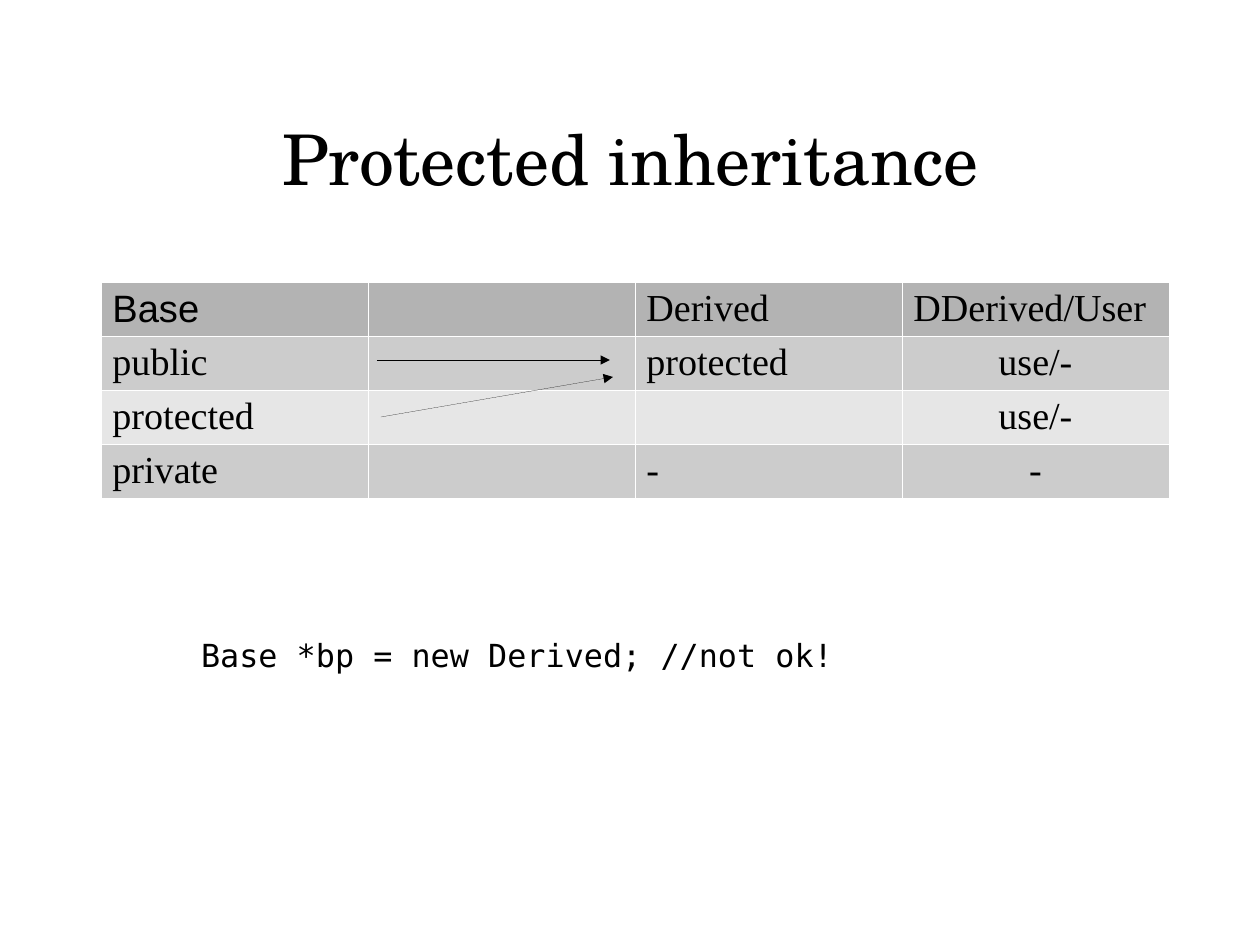
import pptx
import pptx.dml.color
import pptx.enum.shapes
import pptx.enum.text
import pptx.oxml
import pptx.oxml.ns
import pptx.util

PX = 8000  # EMU per px, so the slide of 28 by 21 cm is 1260 by 945 px
RGBColor = pptx.dml.color.RGBColor
BLACK = RGBColor(0x00, 0x00, 0x00)
WHITE = RGBColor(0xFF, 0xFF, 0xFF)
HEADER_GRAY = RGBColor(0xB3, 0xB3, 0xB3)
DARK_BAND = RGBColor(0xCC, 0xCC, 0xCC)
LIGHT_BAND = RGBColor(0xE6, 0xE6, 0xE6)

ALIGN = pptx.enum.text.PP_ALIGN
ANCHOR = pptx.enum.text.MSO_ANCHOR
qn = pptx.oxml.ns.qn

ACCESS_ROWS = [
    ["Base", "", "Derived", "DDerived/User"],
    ["public", "", "protected", "use/-"],
    ["protected", "", "", "use/-"],
    ["private", "", "-", "-"],
]
ARROWS = [(377, 360, 610, 360), (381, 417, 613, 377)]


def px(*lengths):
    return [pptx.util.Emu(length * PX) for length in lengths]


def drawing_element(xml_name, **attributes):
    element = pptx.oxml.parse_xml(
        f"<a:{xml_name} {pptx.oxml.ns.nsdecls('a')}/>")
    for name, value in attributes.items():
        element.set(name, str(value))
    return element


def write_text(text_frame, text, font="Times New Roman", size=24,
               align=ALIGN.LEFT, space_after=0, plain_list=False):
    paragraph = text_frame.paragraphs[0]
    paragraph.text = text
    paragraph.alignment = align
    paragraph.space_before = pptx.util.Pt(0)
    paragraph.space_after = pptx.util.Pt(space_after)
    if plain_list:
        properties = paragraph._p.get_or_add_pPr()
        properties.set("marL", "0")
        properties.set("indent", "0")
        properties.append(drawing_element("buNone"))
    for run in paragraph.runs:
        run.font.name = font
        run.font.size = pptx.util.Pt(size)
        run.font.color.rgb = BLACK


def fill_placeholder(placeholder, text, box, anchor, **text_format):
    placeholder.left, placeholder.top, placeholder.width, placeholder.height = px(*box)
    frame = placeholder.text_frame
    frame.margin_left = frame.margin_right = 0
    frame.margin_top = frame.margin_bottom = 0
    frame.word_wrap = True
    frame.auto_size = pptx.enum.text.MSO_AUTO_SIZE.NONE
    frame.vertical_anchor = anchor
    write_text(frame, text, **text_format)


def add_cell_borders(cell_properties):
    for position, side in enumerate(["lnL", "lnR", "lnT", "lnB"]):
        border = drawing_element(side, w=int(pptx.util.Pt(0.06)))
        fill = drawing_element("solidFill")
        fill.append(drawing_element("srgbClr", val=WHITE))
        border.append(fill)
        cell_properties.insert(position, border)


def add_access_table(slide, rows, box):
    graphic_frame = slide.shapes.add_table(len(rows), len(rows[0]), *px(*box))
    table = graphic_frame.table
    table.first_row = table.horz_banding = False
    for row_index, row in enumerate(rows):
        band = DARK_BAND if row_index % 2 else LIGHT_BAND
        for column_index, text in enumerate(row):
            cell = table.cell(row_index, column_index)
            cell.fill.solid()
            cell.fill.fore_color.rgb = band if row_index else HEADER_GRAY
            centered = row_index > 0 and column_index == len(row) - 1
            write_text(cell.text_frame, text,
                       font="Arial" if text == "Base" else "Times New Roman",
                       align=ALIGN.CENTER if centered else ALIGN.LEFT)
    for cell_properties in graphic_frame.element.iter(qn("a:tcPr")):
        add_cell_borders(cell_properties)


def add_arrow(slide, ends):
    arrow = slide.shapes.add_connector(
        pptx.enum.shapes.MSO_CONNECTOR.STRAIGHT, *px(*ends))
    arrow.line.color.rgb = BLACK
    shape_properties = arrow.element.spPr
    line = shape_properties.find(qn("a:ln"))
    line.set("w", "0")  # hairline
    line.append(drawing_element("tailEnd", type="triangle"))
    shape_properties.append(drawing_element("effectLst"))


def main():
    presentation = pptx.Presentation()
    presentation.slide_width, presentation.slide_height = px(1260, 945)
    slide = presentation.slides.add_slide(presentation.slide_layouts[1])

    # Title
    fill_placeholder(slide.shapes.title, "Protected inheritance",
                     (93, 79, 1076, 158), ANCHOR.MIDDLE,
                     font="TeX Gyre Schola", size=44, align=ALIGN.CENTER)

    # Access table with arrows from base to derived access
    add_access_table(slide, ACCESS_ROWS, (101, 282, 1068, 216))
    for ends in ARROWS:
        add_arrow(slide, ends)

    # Code line
    fill_placeholder(slide.placeholders[1], "Base *bp = new Derived; //not ok!",
                     (201, 636, 839, 114), ANCHOR.TOP,
                     font="DejaVu Sans Mono", size=20, space_after=14.1,
                     plain_list=True)

    presentation.save("out.pptx")


if __name__ == "__main__":
    main()
